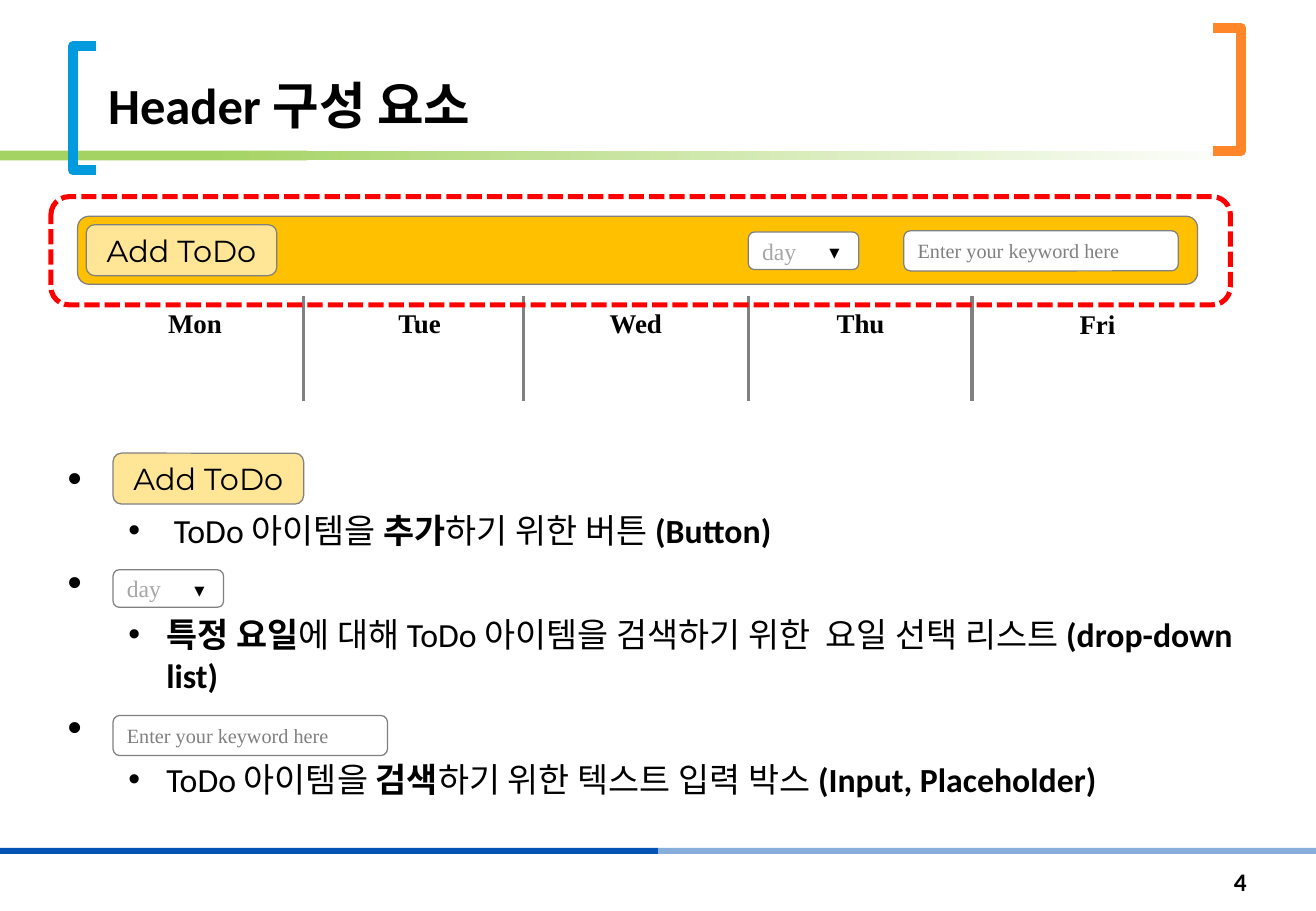
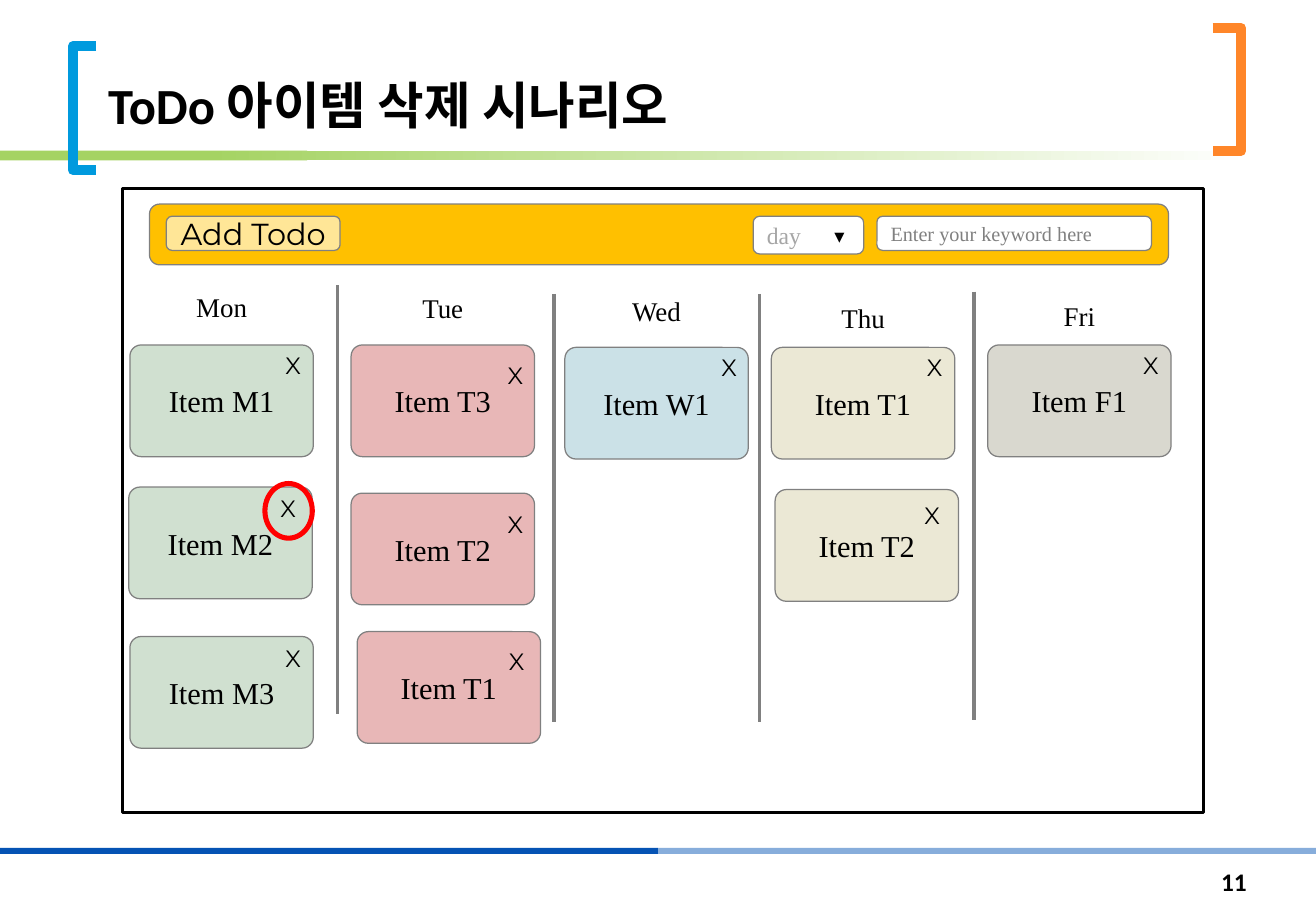
from lxml import etree
from pptx import Presentation
from pptx.dml.color import RGBColor
from pptx.enum.dml import MSO_LINE
from pptx.enum.shapes import MSO_CONNECTOR, MSO_SHAPE
from pptx.enum.text import MSO_ANCHOR, PP_ALIGN
from pptx.oxml.ns import qn
from pptx.util import Pt

RECTANGLE, ROUNDED, OVAL = MSO_SHAPE.RECTANGLE, MSO_SHAPE.ROUNDED_RECTANGLE, MSO_SHAPE.OVAL
STRAIGHT = MSO_CONNECTOR.STRAIGHT
DASH = MSO_LINE.SQUARE_DOT
LEFT, CENTER, RIGHT = PP_ALIGN.LEFT, PP_ALIGN.CENTER, PP_ALIGN.RIGHT
TOP, MIDDLE, BOTTOM = MSO_ANCHOR.TOP, MSO_ANCHOR.MIDDLE, MSO_ANCHOR.BOTTOM

SANS, SERIF, UI = "Calibri", "Times New Roman", "Montserrat"
COLORS = {
    "black": "000000", "white": "FFFFFF", "gray": "808080", "hint": "A6A6A6",
    "red": "FF0000", "green": "A5D363", "sky": "009ADE", "orange": "FF8629",
    "blue": "0553B4", "pale_blue": "87ADDB", "bar": "FFC000", "button": "FFE697",
    "Mon": "D0E0D0", "Tue": "E8B7B7", "Wed": "CBE1E7", "Thu": "EBE8D5", "Fri": "D9D8CF",
}
DAYS = ("Mon", "Tue", "Wed", "Thu", "Fri")
CARD_WIDTH, CARD_HEIGHT = 108.7, 66.2


def rgb(name):
    return RGBColor.from_string(COLORS[name])


def points(*values):
    return [Pt(value) for value in values]


def style_run(run, size, font, color="black", bold=False):
    run.font.size = Pt(size)
    run.font.name = font
    run.font.bold = bold
    run.font.color.rgb = rgb(color)


def set_text(shape, text, size, font, color="black", bold=False,
             align=CENTER, anchor=MIDDLE, wrap=False):
    frame = shape.text_frame
    frame.text = text
    frame.word_wrap = wrap
    frame.vertical_anchor = anchor
    paragraph = frame.paragraphs[0]
    paragraph.alignment = align
    style_run(paragraph.runs[0], size, font, color, bold)


def add_box(slide, kind, box, fill=None, line=None, width=0.75, corner=None):
    shape = slide.shapes.add_shape(kind, *points(*box))
    shape.shadow.inherit = False
    if corner is not None:
        shape.adjustments[0] = corner
    if fill:
        shape.fill.solid()
        shape.fill.fore_color.rgb = rgb(fill)
    else:
        shape.fill.background()
    if line:
        shape.line.color.rgb = rgb(line)
        shape.line.width = Pt(width)
    else:
        shape.line.fill.background()
    return shape


def add_label(slide, box, text, size, font, **style):
    set_text(slide.shapes.add_textbox(*points(*box)), text, size, font, wrap=True, **style)


def add_bracket(slide, spine, tip, top, bottom, color):
    builder = slide.shapes.build_freeform(*points(tip, top))
    corners = [(spine, top), (spine, bottom), (tip, bottom)]
    builder.add_line_segments([points(*corner) for corner in corners], close=False)
    bracket = builder.convert_to_shape()
    bracket.shadow.inherit = False
    bracket.fill.background()
    bracket.line.color.rgb = rgb(color)
    bracket.line.width = Pt(6)


def add_divider(slide, x, top, bottom):
    line = slide.shapes.add_connector(STRAIGHT, *points(x, top, x, bottom))
    line.line.color.rgb = rgb("gray")
    line.line.width = Pt(2)
    etree.SubElement(line._element.spPr, qn("a:effectLst"))


def add_frame(presentation, title, number):
    """Add a slide with the shared bands, brackets, title and page number."""
    slide = presentation.slides.add_slide(presentation.slide_layouts[6])
    add_box(slide, RECTANGLE, (390, 502.6, 390, 3.6), "pale_blue")
    add_box(slide, RECTANGLE, (0, 502.6, 390, 3.6), "blue")
    add_box(slide, RECTANGLE, (0, 89.3, 182, 5.8), "green")
    fade = add_box(slide, RECTANGLE, (123.8, 89.3, 617.8, 5.8), "green")
    fade.fill.gradient()
    fade.fill.gradient_angle = 0
    for stop, position, color in zip(fade.fill.gradient_stops, (0, 1), ("green", "white")):
        stop.position = position
        stop.color.rgb = rgb(color)
    add_bracket(slide, 43.2, 57, 27.4, 100.8, "sky")
    add_bracket(slide, 735.6, 718.8, 16.6, 89.3, "orange")
    add_label(slide, (57, 2.9, 661.7, 80.6), title, 30, SANS,
              bold=True, align=LEFT, anchor=BOTTOM)
    add_label(slide, (639.4, 508.3, 106.6, 28.8), number, 15, SANS, bold=True, align=RIGHT)
    return slide


# Interface parts
def add_button(slide, box, text):
    set_text(add_box(slide, ROUNDED, box, "button", "gray"), text, 18, UI)


def add_day_list(slide, x, y):
    box = add_box(slide, ROUNDED, (x, y, 65.5, 22.3), "white", "gray")
    set_text(box, "day", 14, SERIF, "hint", align=LEFT)
    add_label(slide, (x + 39.9, y - 0.7, 28, 24.5), "▼", 14, UI, align=LEFT, anchor=TOP)


def add_keyword_box(slide, x, y, height):
    box = add_box(slide, ROUNDED, (x, y, 162.7, height), "white", "gray")
    set_text(box, "Enter your keyword here", 12, SERIF, "gray", align=LEFT)


def add_day_name(slide, box, day, bold=False):
    set_text(add_box(slide, ROUNDED, box, "white", corner=0.35), day, 16, SERIF, bold=bold)


def add_card(slide, x, y, text, color, mark_x, mark_y):
    card = add_box(slide, ROUNDED, (x, y, CARD_WIDTH, CARD_HEIGHT), color, "gray", corner=0.1)
    set_text(card, text, 18, SERIF)
    add_label(slide, (x + mark_x, y + mark_y, 24, 24.5), "X", 14, UI, align=LEFT, anchor=TOP)


# Bulleted text
def add_bullet(paragraph, level, runs):
    margin, hanging, size = ((27, 27, 24), (58.5, 22.5, 20))[level]
    properties = paragraph._p.get_or_add_pPr()
    properties.set("marL", str(Pt(margin)))
    properties.set("indent", str(-Pt(hanging)))
    properties.set("lvl", str(level))
    before = etree.SubElement(properties, qn("a:spcBef"))
    etree.SubElement(before, qn("a:spcPct")).set("val", "20000")
    etree.SubElement(properties, qn("a:buFont")).set("typeface", "Arial")
    etree.SubElement(properties, qn("a:buChar")).set("char", "•")
    for text, bold in runs:
        run = paragraph.add_run()
        run.text = text
        style_run(run, size, SANS, bold=bold)


def add_descriptions(slide, box, descriptions):
    frame = slide.shapes.add_textbox(*points(*box)).text_frame
    frame.word_wrap = True
    paragraph = frame.paragraphs[0]
    for index, runs in enumerate(descriptions):
        if index:
            paragraph = frame.add_paragraph()
        add_bullet(paragraph, 0, [(" ", True)])  # bullet beside a widget
        add_bullet(frame.add_paragraph(), 1, runs)


def build_header_slide(presentation):
    slide = add_frame(presentation, "Header 구성 요소", "4")
    add_descriptions(slide, (33, 266, 714, 240), [
        [(" ToDo 아이템을 ", False), ("추가", True), ("하기 위한 버튼 ", False),
         ("(Button)", True)],
        [("특정 요일", True), ("에 대해 ToDo 아이템을 검색하기 위한  요일 선택 리스트 ", False),
         ("(drop-down list)", True)],
        [("ToDo 아이템을 ", False), ("검색", True), ("하기 위한 텍스트 입력 박스 ", False),
         ("(Input, Placeholder)", True)],
    ])

    # Header bar and day names
    add_box(slide, ROUNDED, (46, 128.2, 663.8, 40.3), "bar", "gray")
    centers = (115.6, 248.8, 376.9, 510.1, 650.5)
    tops = (180.3, 180, 180, 180, 181)
    for day, center, top in zip(DAYS, centers, tops):
        add_day_name(slide, (center - 68, top, 136, 22.3), day, bold=True)
    for x in (180, 310.3, 443.5, 576):
        add_divider(slide, x, 175.7, 237.6)

    # Widgets in the bar and beside the bullets
    for x, y in ((51.1, 133.2), (67, 268.6)):
        add_button(slide, (x, y, 113, 30.2), "Add ToDo")
    for x, y in ((443.5, 137.5), (67, 337.7)):
        add_day_list(slide, x, y)
    for x, y in ((535.7, 136.8), (67, 424.1)):
        add_keyword_box(slide, x, y, 23.8)
    highlight = add_box(slide, ROUNDED, (30.2, 116.6, 699.1, 64.1), line="red", width=3)
    highlight.line.dash_style = DASH


def build_delete_slide(presentation):
    slide = add_frame(presentation, "ToDo 아이템 삭제 시나리오", "11")
    add_box(slide, RECTANGLE, (72.7, 111.6, 640.8, 370.1), line="black", width=1.75)

    # Header bar
    add_box(slide, ROUNDED, (88.6, 121, 604, 36), "bar", "gray")
    add_button(slide, (98.6, 128.2, 103, 20.2), "Add Todo")
    add_day_list(slide, 446.4, 128.2)
    add_keyword_box(slide, 519.8, 128.2, 20.2)

    # Day columns
    for x, top in ((200.2, 169.2), (328.3, 174.2), (450, 174.2), (577.4, 172.8)):
        add_divider(slide, x, top, top + 254)
    lefts = dict(zip(DAYS, (77, 208.1, 334.8, 457.2, 585.4)))
    name_tops = (173.5, 174.2, 175.7, 180, 178.6)
    for day, top in zip(DAYS, name_tops):
        add_day_name(slide, (lefts[day], top, CARD_WIDTH, 16.6), day)

    # Cards: day, text, shift from the column, top, offset of the X
    cards = [
        ("Mon", "Item M1", 0, 204.5, 85, 0),
        ("Mon", "Item M2", -0.7, 288.7, 82.8, 0.7),
        ("Mon", "Item M3", 0, 377.3, 85, 0.7),
        ("Tue", "Item T3", 0, 204.5, 85.7, 5.8),
        ("Tue", "Item T2", 0, 292.3, 85.7, 6.5),
        ("Tue", "Item T1", 3.6, 374.4, 82.8, 5.8),
        ("Wed", "Item W1", 0, 205.9, 85.7, 0),
        ("Thu", "Item T1", 0, 205.9, 85, 0),
        ("Thu", "Item T2", 2.2, 290.2, 81.4, 2.9),
        ("Fri", "Item F1", 0, 204.5, 85, 0),
    ]
    for day, text, shift, top, mark_x, mark_y in cards:
        add_card(slide, lefts[day] + shift, top, text, day, mark_x, mark_y)
    add_box(slide, OVAL, (157, 286.6, 28.1, 32.4), line="red", width=3)


def main():
    presentation = Presentation()
    presentation.slide_width, presentation.slide_height = points(780, 540)
    build_header_slide(presentation)
    build_delete_slide(presentation)
    presentation.save("out.pptx")


if __name__ == "__main__":
    main()
